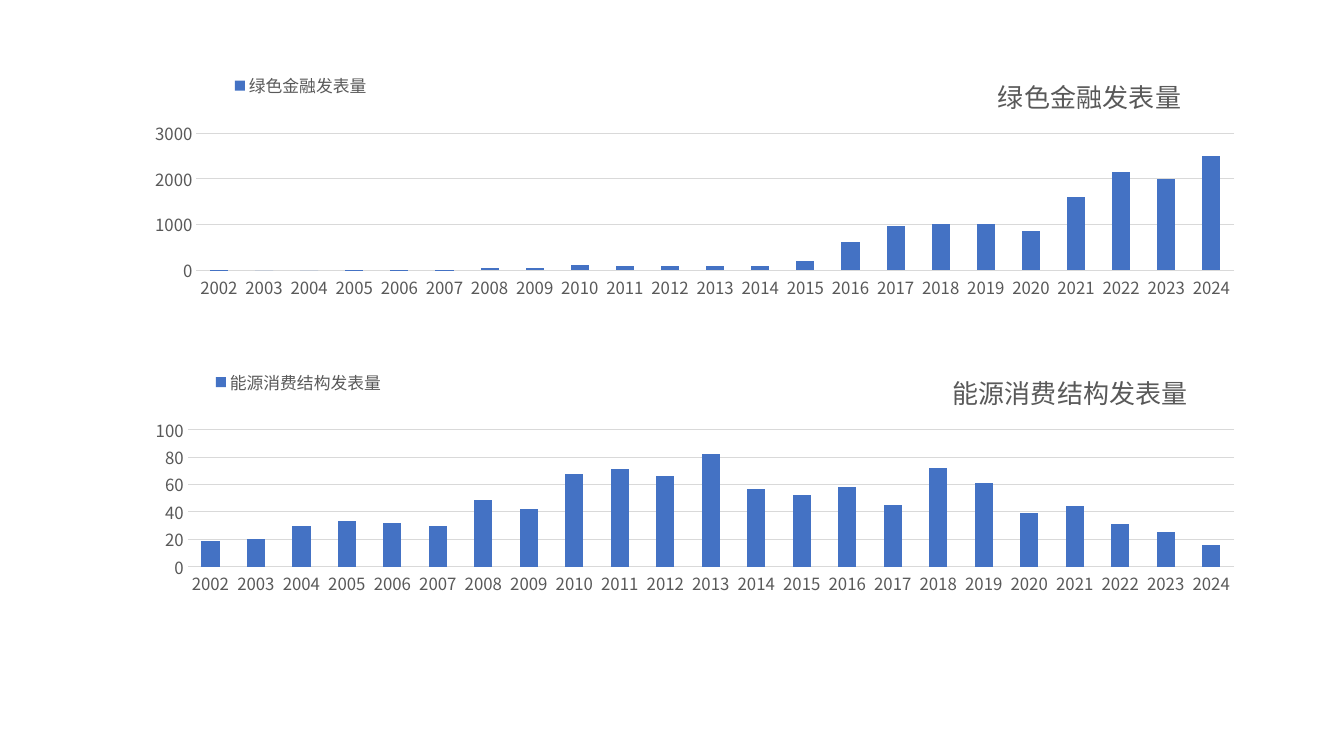
from dataclasses import dataclass

from pptx import Presentation
from pptx import util as u
from pptx.chart.chart import Chart
from pptx.chart.data import CategoryChartData
from pptx.dml.color import RGBColor
from pptx.enum import chart as ch
from pptx.oxml import parse_xml
from pptx.oxml.ns import nsdecls
from pptx.text.text import Font


@dataclass(frozen=True)
class Theme:
    face: str = "Noto Sans CJK SC"
    bar: str = "4472C4"
    ink: str = "595959"
    grid: str = "D9D9D9"
    head: float = 18.6
    label: float = 12


@dataclass(frozen=True)
class Panel:
    name: str
    top: float
    vals: tuple[int, ...]
    peak: int
    step: int
    # Distances from the left edge of the chart, in cm
    head: float
    key: float
    plot: float


THEME = Theme()
YEARS = [str(year) for year in range(2002, 2025)]

# Shared chart measures, in cm
LEFT, WIDE, HIGH = 3.33, 28.32, 7.47
RIGHT = 27.77
TOP, DEEP = 2.12, 3.45
HEAD_TOP, KEY_TOP = 0.5, 0.5

PANELS = [
    Panel("绿色金融发表量", 1.24,
          (10, 0, 0, 10, 10, 10, 40, 40, 120, 100, 90, 100, 100, 190, 620,
           970, 1010, 1020, 850, 1600, 2160, 2000, 2500),
          3000, 1000, 21.7, 2.45, 1.62),
    Panel("能源消费结构发表量", 8.71,
          (19, 20, 30, 33, 32, 30, 49, 42, 68, 71, 66, 82, 57, 52, 58,
           45, 72, 61, 39, 44, 31, 25, 16),
          100, 20, 20.55, 1.97, 1.4),
]


def style(font: Font, size: float) -> None:
    font.name = THEME.face
    font.size = u.Pt(size)
    font.bold = False
    font.color.rgb = RGBColor.from_string(THEME.ink)


def place(chart: Chart, tag: str, left: float, top: float,
          size: tuple[float, float] | None = None) -> None:
    """Set a manual layout, given in cm, on one part of the chart."""
    part = chart.element.xpath(f".//c:{tag}")[0]
    for old in part.xpath("./c:layout"):
        part.remove(old)
    items = [("xMode", "edge"), ("yMode", "edge"),
             ("x", left / WIDE), ("y", top / HIGH)]
    if size:
        items.insert(0, ("layoutTarget", "inner"))
        items += [("w", size[0] / WIDE), ("h", size[1] / HIGH)]
    body = "".join(f'<c:{key} val="{val}"/>' for key, val in items)
    layout = parse_xml(f"<c:layout {nsdecls('c')}><c:manualLayout>{body}"
                       "</c:manualLayout></c:layout>")
    # The layout follows the text or legend position, and leads the plot area
    part.insert(0 if tag == "plotArea" else 1, layout)


def draw(slide, panel: Panel) -> None:
    data = CategoryChartData()
    data.categories = YEARS
    data.add_series(panel.name, panel.vals)
    chart = slide.shapes.add_chart(
        ch.XL_CHART_TYPE.COLUMN_CLUSTERED, u.Cm(LEFT), u.Cm(panel.top),
        u.Cm(WIDE), u.Cm(HIGH), data).chart
    style(chart.font, THEME.label)

    # Title and legend
    chart.has_title = True
    frame = chart.chart_title.text_frame
    frame.text = panel.name
    style(frame.paragraphs[0].runs[0].font, THEME.head)
    chart.has_legend = True
    chart.legend.position = ch.XL_LEGEND_POSITION.BOTTOM
    chart.legend.include_in_layout = False
    style(chart.legend.font, THEME.label)

    # Columns
    plot = chart.plots[0]
    plot.gap_width = 150
    plot.vary_by_categories = False
    fill = plot.series[0].format.fill
    fill.solid()
    fill.fore_color.rgb = RGBColor.from_string(THEME.bar)

    # Axes and grid
    for axis in (chart.category_axis, chart.value_axis):
        axis.major_tick_mark = axis.minor_tick_mark = ch.XL_TICK_MARK.NONE
        axis.format.line.fill.background()
        style(axis.tick_labels.font, THEME.label)
    scale = chart.value_axis
    scale.minimum_scale, scale.maximum_scale = 0, panel.peak
    scale.major_unit = panel.step
    scale.has_major_gridlines = True
    grid = scale.major_gridlines.format.line
    grid.width = u.Pt(0.75)
    grid.color.rgb = RGBColor.from_string(THEME.grid)

    # East Asian typeface beside each Latin one
    for latin in chart.element.xpath(".//a:latin"):
        latin.addnext(parse_xml(
            f'<a:ea {nsdecls("a")} typeface="{THEME.face}"/>'))

    # Positions inside the chart
    place(chart, "title", panel.head, HEAD_TOP)
    place(chart, "legend", panel.key, KEY_TOP)
    place(chart, "plotArea", panel.plot, TOP, (RIGHT - panel.plot, DEEP))


def main() -> None:
    deck = Presentation()
    deck.slide_width, deck.slide_height = u.Cm(33.87), u.Cm(19.05)
    slide = deck.slides.add_slide(deck.slide_layouts[6])
    for panel in PANELS:
        draw(slide, panel)
    deck.save("out.pptx")


if __name__ == "__main__":
    main()
